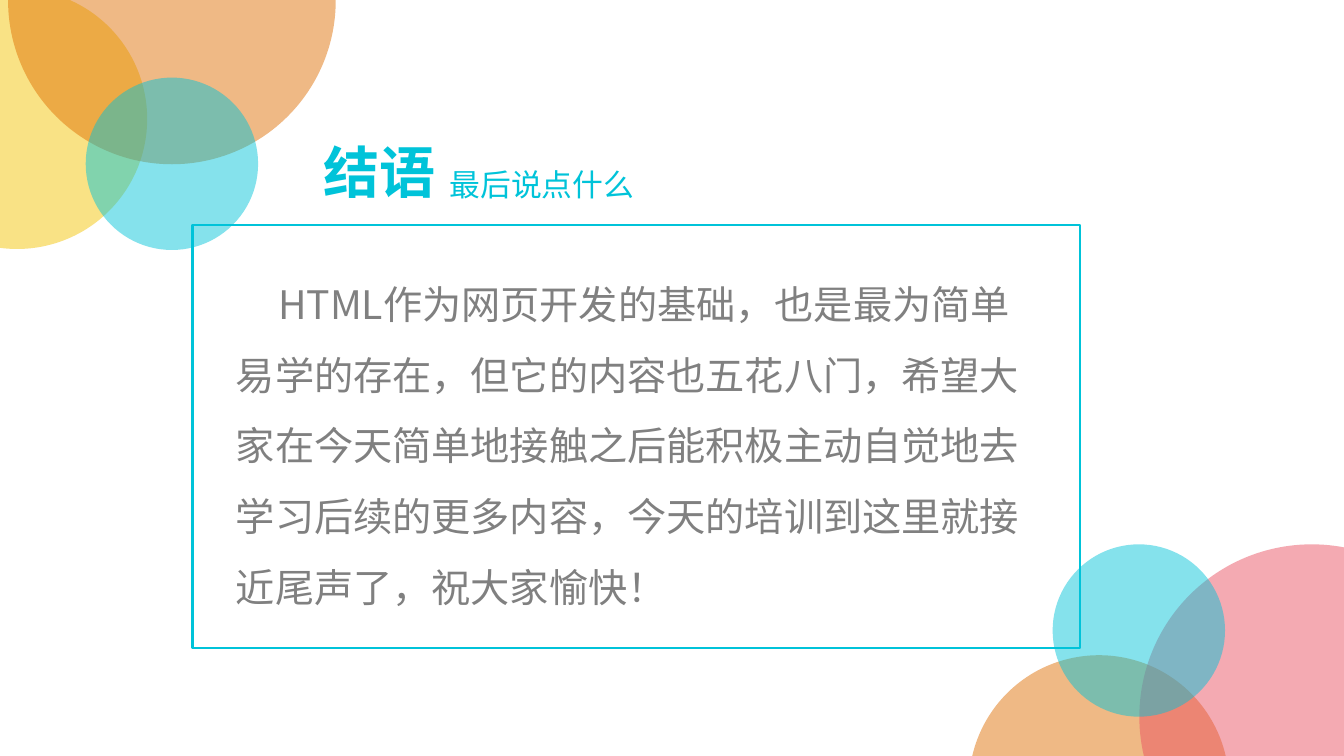
from lxml.etree import SubElement
from pptx import Presentation
from pptx.dml.color import RGBColor
from pptx.enum.shapes import MSO_SHAPE
from pptx.enum.text import MSO_ANCHOR, MSO_AUTO_SIZE, PP_ALIGN
from pptx.oxml.ns import qn
from pptx.util import Inches, Pt

FONT = "Noto Sans CJK SC"
CYAN = RGBColor(0x00, 0xC3, 0xD9)
GOLD = RGBColor(0xF3, 0xC3, 0x01)
ORANGE = RGBColor(0xDE, 0x6E, 0x00)
PINK = RGBColor(0xE9, 0x4E, 0x60)
GREY = RGBColor(0x80, 0x80, 0x80)
ALPHA = 48

TITLE = "结语"
SUBTITLE = "最后说点什么"
BODY = (
    "HTML作为网页开发的基础，也是最为简单易学的存在，但它的内容也五花八门，"
    "希望大家在今天简单地接触之后能积极主动自觉地去学习后续的更多内容，"
    "今天的培训到这里就接近尾声了，祝大家愉快！"
)

# left, top, diameter, colour
CIRCLES = [
    (-1.12, -0.11, 2.58, GOLD),
    (0.08, -1.62, 3.25, ORANGE),
    (0.85, 0.77, 1.71, CYAN),
    (9.61, 6.5, 2.58, ORANGE),
    (11.3, 5.4, 3.42, PINK),
    (10.44, 5.4, 1.71, CYAN),
]
FRAME = (1.91, 2.23, 8.8, 4.2)


def add_circle(slide, left, top, size, color):
    disc = slide.shapes.add_shape(
        MSO_SHAPE.OVAL, Inches(left), Inches(top), Inches(size), Inches(size))
    disc.shadow.inherit = False
    disc.fill.solid()
    disc.fill.fore_color.rgb = color
    tint = disc.fill._xPr.find(qn("a:solidFill"))[0]
    SubElement(tint, qn("a:alpha")).set("val", str(ALPHA * 1000))
    disc.line.fill.background()


def set_text(box, place, words, size, color, bold=False,
             align=PP_ALIGN.CENTER, pad=(0.1, 0.05)):
    """Move a box, fill it with one run and return its paragraph."""
    box.left, box.top, box.width, box.height = map(Inches, place)
    frame = box.text_frame
    frame.word_wrap = True
    frame.auto_size = MSO_AUTO_SIZE.NONE
    frame.vertical_anchor = MSO_ANCHOR.TOP
    frame.margin_left = frame.margin_right = Inches(pad[0])
    frame.margin_top = frame.margin_bottom = Inches(pad[1])
    para = frame.paragraphs[0]
    para.alignment = align
    para.space_before = Pt(0)
    run = para.add_run()
    run.text = words
    font = run.font
    font.name, font.size, font.bold = FONT, Pt(size), bold
    font.color.rgb = color
    SubElement(font._element, qn("a:ea")).set("typeface", FONT)
    return para


def main():
    deck = Presentation()
    deck.slide_width, deck.slide_height = Inches(13.33), Inches(7.5)
    slide = deck.slides.add_slide(deck.slide_layouts[1])

    for circle in CIRCLES:
        add_circle(slide, *circle)

    set_text(slide.shapes.title, (3.03, 1.31, 1.47, 0.77), TITLE, 40, CYAN, True)
    label = slide.shapes.add_textbox(0, 0, 0, 0)
    set_text(label, (4.28, 1.6, 2.19, 0.47), SUBTITLE, 22, CYAN)

    para = set_text(slide.placeholders[1], (2.26, 2.51, 8.12, 3.61), BODY, 28,
                    GREY, align=PP_ALIGN.LEFT, pad=(0.08, 0.04))
    para.line_spacing = 1.5
    props = para._p.get_or_add_pPr()
    props.set("marL", "0")
    props.set("indent", str(Inches(0.42)))
    SubElement(props, qn("a:buNone"))

    frame = slide.shapes.add_shape(MSO_SHAPE.RECTANGLE, *map(Inches, FRAME))
    frame.shadow.inherit = False
    frame.fill.background()
    frame.line.color.rgb = CYAN
    frame.line.width = Pt(1.5)

    deck.save("out.pptx")


if __name__ == "__main__":
    main()
